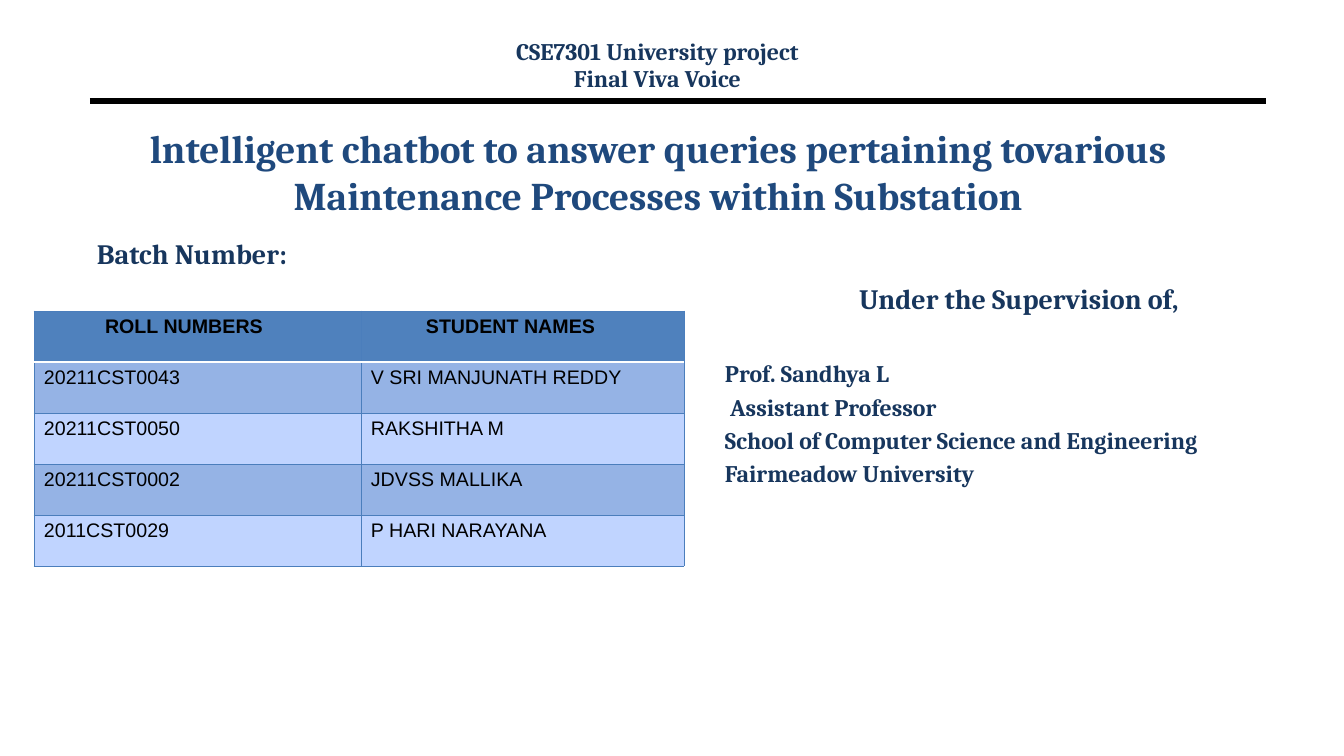
from lxml import etree
from pptx import Presentation
from pptx.dml.color import RGBColor
from pptx.enum.shapes import MSO_CONNECTOR
from pptx.enum.text import MSO_ANCHOR, PP_ALIGN
from pptx.oxml.ns import qn
from pptx.util import Emu, Pt

LEFT, CENTER = PP_ALIGN.LEFT, PP_ALIGN.CENTER
TOP, MIDDLE = MSO_ANCHOR.TOP, MSO_ANCHOR.MIDDLE
STRAIGHT = MSO_CONNECTOR.STRAIGHT

EMU_PER_PX = 914400 / 100.8
NAVY = RGBColor(0x17, 0x36, 0x5D)
TITLE_BLUE = RGBColor(0x1F, 0x49, 0x7D)
HEADER_BLUE = RGBColor(0x4F, 0x81, 0xBD)
BORDER_BLUE = RGBColor(0x4B, 0x7E, 0xBC)
BAND_DARK = RGBColor(0x95, 0xB3, 0xE5)
BAND_LIGHT = RGBColor(0xC0, 0xD4, 0xFF)
BLACK = RGBColor(0, 0, 0)
WHITE = RGBColor(255, 255, 255)

HEADERS = [("ROLL NUMBERS", 71), ("STUDENT NAMES", 65)]
STUDENTS = [
    ("20211CST0043", "V SRI MANJUNATH REDDY"),
    ("20211CST0050", "RAKSHITHA M"),
    ("20211CST0002", "JDVSS MALLIKA"),
    ("2011CST0029", "P HARI NARAYANA"),
]
SUPERVISOR = [
    "Prof. Sandhya L",
    " Assistant Professor",
    "School of Computer Science and Engineering",
    "Fairmeadow University",
]


def px(n):
    return Emu(round(n * EMU_PER_PX))


def add_run(p, text, size, color, font="Cambria", bold=True):
    r = p.add_run()
    r.text = text
    r.font.name = font
    r.font.size = Pt(size)
    r.font.bold = bold
    r.font.color.rgb = color


def add_text(slide, box, lines, color=NAVY, align=LEFT, anchor=TOP, spacing=None):
    """Add a text box; each line is (text, size, space before, alignment or None)."""
    tf = slide.shapes.add_textbox(*map(px, box)).text_frame
    tf.word_wrap = True
    tf.vertical_anchor = anchor
    for i, (text, size, before, own_align) in enumerate(lines):
        p = tf.add_paragraph() if i else tf.paragraphs[0]
        p.alignment = own_align or align
        p.space_before = Pt(before)
        if spacing:
            p.line_spacing = spacing
        add_run(p, text, size, color)


def add_rule(slide, x1, x2, y):
    line = slide.shapes.add_connector(STRAIGHT, px(x1), px(y), px(x2), px(y))
    line.line.color.rgb = BLACK
    line.line.width = Pt(4.5)
    etree.SubElement(line._element.spPr, qn("a:effectLst"))


def set_border(cell, side, color, width):
    tcPr = cell._tc.get_or_add_tcPr()
    ln = etree.SubElement(tcPr, qn(f"a:ln{side}"), w=str(Pt(width)))
    fill = etree.SubElement(ln, qn("a:solidFill"))
    etree.SubElement(fill, qn("a:srgbClr"), val=str(color))


def fill_cell(cell, text, row, indent=10):
    white_side = {0: "B", 1: "T"}.get(row)
    for side in "LRTB":
        color, width = (WHITE, 2) if side == white_side else (BORDER_BLUE, 0.75)
        set_border(cell, side, color, width)
    cell.fill.solid()
    band = BAND_DARK if row % 2 else BAND_LIGHT
    cell.fill.fore_color.rgb = band if row else HEADER_BLUE
    cell.margin_left = px(indent)
    add_run(cell.text_frame.paragraphs[0], text, 14, BLACK, "Arial", row == 0)


def add_student_table(slide, x, y, widths, row_height):
    rows = len(STUDENTS) + 1
    table = slide.shapes.add_table(
        rows, len(widths), px(x), px(y), px(sum(widths)), px(row_height * rows)
    ).table
    for column, width in zip(table.columns, widths):
        column.width = px(width)
    for row in table.rows:
        row.height = px(row_height)
    for c, (text, indent) in enumerate(HEADERS):
        fill_cell(table.cell(0, c), text, 0, indent)
    for r, student in enumerate(STUDENTS, 1):
        for c, text in enumerate(student):
            fill_cell(table.cell(r, c), text, r)


def main():
    prs = Presentation()
    prs.slide_width, prs.slide_height = px(1344), px(756)
    slide = prs.slides.add_slide(prs.slide_layouts[6])

    add_rule(slide, 90, 1266, 101)
    title = ("lntelligent chatbot to answer queries pertaining tovarious "
             "Maintenance Processes within Substation")
    add_text(slide, (87, 118, 1142, 106), [(title, 28, 0, None)],
             TITLE_BLUE, CENTER, MIDDLE)
    add_text(slide, (87, 232, 437, 60), [("Batch Number:", 20, 0, None)])
    supervision = [("Under the Supervision of,", 20, 0, CENTER)]
    supervision += [(text, 17, 3.4 if i else 31, None)
                    for i, text in enumerate(SUPERVISOR)]
    add_text(slide, (715, 277, 608, 223), supervision)
    course = [("CSE7301 University project", 17, 0, None),
              ("Final Viva Voice", 17, 3.1, None)]
    add_text(slide, (439, 37, 437, 60), course, align=CENTER, spacing=0.8)
    add_student_table(slide, 34, 311, (327, 323), 51)

    prs.save("out.pptx")


if __name__ == "__main__":
    main()
